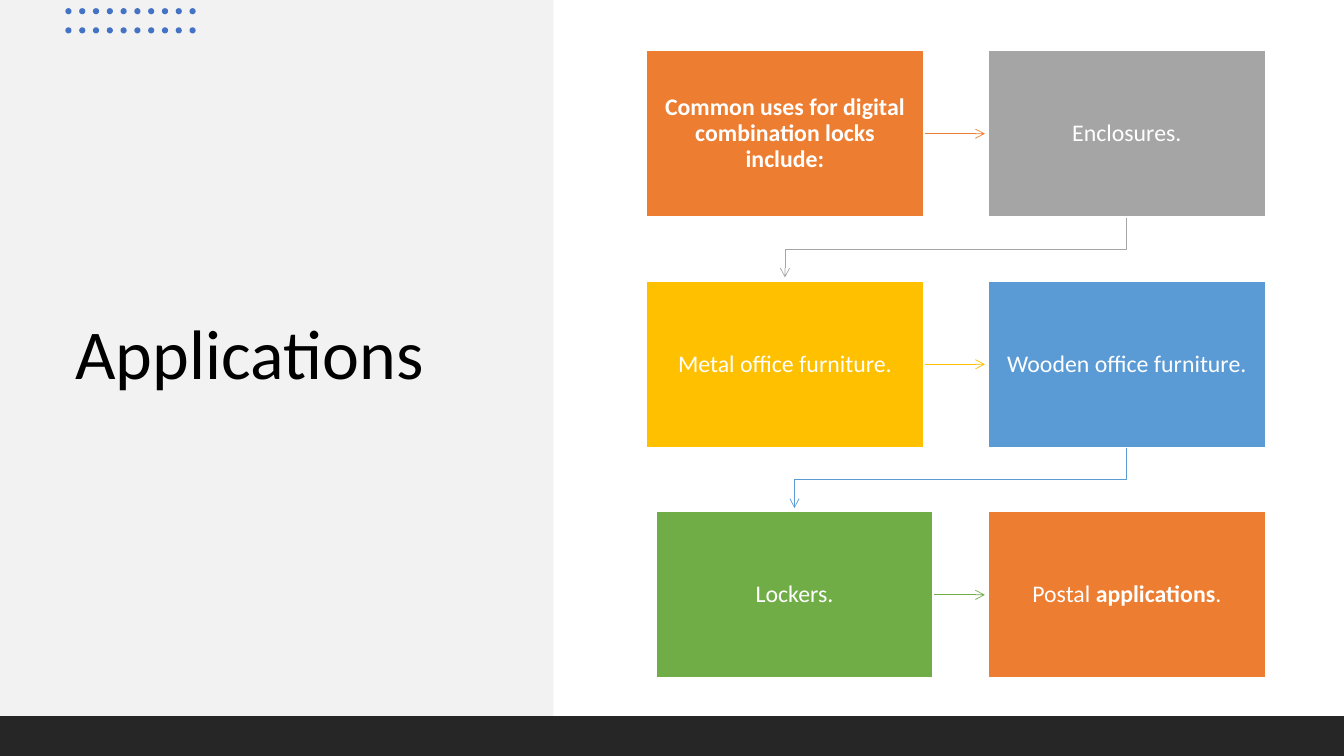
from dataclasses import dataclass

from lxml.etree import SubElement
from pptx import Presentation
from pptx.dml.color import RGBColor
from pptx.enum.shapes import MSO_CONNECTOR, MSO_SHAPE
from pptx.enum.text import MSO_ANCHOR, PP_ALIGN
from pptx.oxml.ns import qn
from pptx.util import Pt


@dataclass(frozen=True)
class Theme:
    font: str = "Calibri"
    title_size: float = 50
    box_size: float = 17
    black: str = "000000"
    white: str = "FFFFFF"
    panel: str = "F2F2F2"
    footer: str = "262626"
    dot: str = "4472C4"
    orange: str = "ED7D31"
    gray: str = "A5A5A5"
    gold: str = "FFC000"
    blue: str = "5B9BD5"
    green: str = "70AD47"


theme = Theme()


def add_shape(kind, x, y, w, h, fill, line=None):
    sp = s.shapes.add_shape(kind, Pt(x), Pt(y), Pt(w), Pt(h))
    sp.shadow.inherit = False
    sp.fill.solid()
    sp.fill.fore_color.rgb = RGBColor.from_string(fill)
    if line:
        sp.line.color.rgb = RGBColor.from_string(line)
        sp.line.width = Pt(1)
    else:
        sp.line.fill.background()
    return sp


def set_text(sp, runs, size, color, align=PP_ALIGN.LEFT, inset=(7.2, 3.6)):
    tf = sp.text_frame
    tf.word_wrap = True
    tf.vertical_anchor = MSO_ANCHOR.MIDDLE
    tf.margin_left = tf.margin_right = Pt(inset[0])
    tf.margin_top = tf.margin_bottom = Pt(inset[1])
    p = tf.paragraphs[0]
    p.alignment = align
    p.line_spacing = 0.9
    for text, bold in runs:
        r = p.add_run()
        r.text = text
        r.font.name = theme.font
        r.font.size = Pt(size)
        r.font.bold = bold
        r.font.color.rgb = RGBColor.from_string(color)


prs = Presentation()
prs.slide_width, prs.slide_height = Pt(960), Pt(540)
s = prs.slides.add_slide(prs.slide_layouts[6])

add_shape(MSO_SHAPE.RECTANGLE, 0, 0, 395.3, 511.5, theme.panel)
title = s.shapes.add_textbox(Pt(46.8), Pt(95), Pt(305.3), Pt(320.4))
set_text(title, [("Applications", False)], theme.title_size, theme.black)

for row in range(2):
    for col in range(10):
        add_shape(MSO_SHAPE.OVAL, 46.7 + col * 9.85, 5.8 + row * 13.7, 4.4, 4.4, theme.dot)

add_shape(MSO_SHAPE.RECTANGLE, 0, 511.6, 960, 28.4, theme.footer)

BOX_W, BOX_H = 198, 118.8
LEFT, RIGHT = 461.7, 705.9
TOP, ROW_STEP = 36.1, 164.7
boxes = [
    (LEFT, theme.orange, [("Common uses for digital combination locks include:", True)]),
    (RIGHT, theme.gray, [("Enclosures.", False)]),
    (LEFT, theme.gold, [("Metal office furniture.", False)]),
    (RIGHT, theme.blue, [("Wooden office furniture.", False)]),
    (LEFT + 6.8, theme.green, [("Lockers.", False)]),
    (RIGHT, theme.orange, [("Postal ", False), ("applications", True), (".", False)]),
]

for i, (x, color, runs) in enumerate(boxes):
    y = TOP + i // 2 * ROW_STEP
    if i < len(boxes) - 1:
        if i % 2 == 0:
            mid_y = Pt(y + BOX_H / 2)
            arrow = s.shapes.add_connector(
                MSO_CONNECTOR.STRAIGHT, Pt(x + BOX_W + 0.8), mid_y, Pt(RIGHT - 2.4), mid_y)
        else:
            start_x, end_x = x + BOX_W / 2, boxes[i + 1][0] + BOX_W / 2
            bottom = y + BOX_H
            bend_y = bottom + 23
            fb = s.shapes.build_freeform(Pt(start_x), Pt(bottom))
            fb.add_line_segments(
                [(Pt(start_x), Pt(bend_y)), (Pt(end_x), Pt(bend_y)), (Pt(end_x), Pt(y + ROW_STEP - 2.6))],
                close=False)
            arrow = fb.convert_to_shape()
            arrow.fill.background()
        arrow.line.color.rgb = RGBColor.from_string(color)
        arrow.line.width = Pt(0.5)
        SubElement(arrow.element.spPr.find(qn("a:ln")), qn("a:tailEnd"), type="arrow")
        SubElement(arrow.element.spPr, qn("a:effectLst"))
    box = add_shape(MSO_SHAPE.RECTANGLE, x, y, BOX_W, BOX_H, color, theme.white)
    set_text(box, runs, theme.box_size, theme.white, PP_ALIGN.CENTER, (9.7, 10.2))

prs.save("out.pptx")
